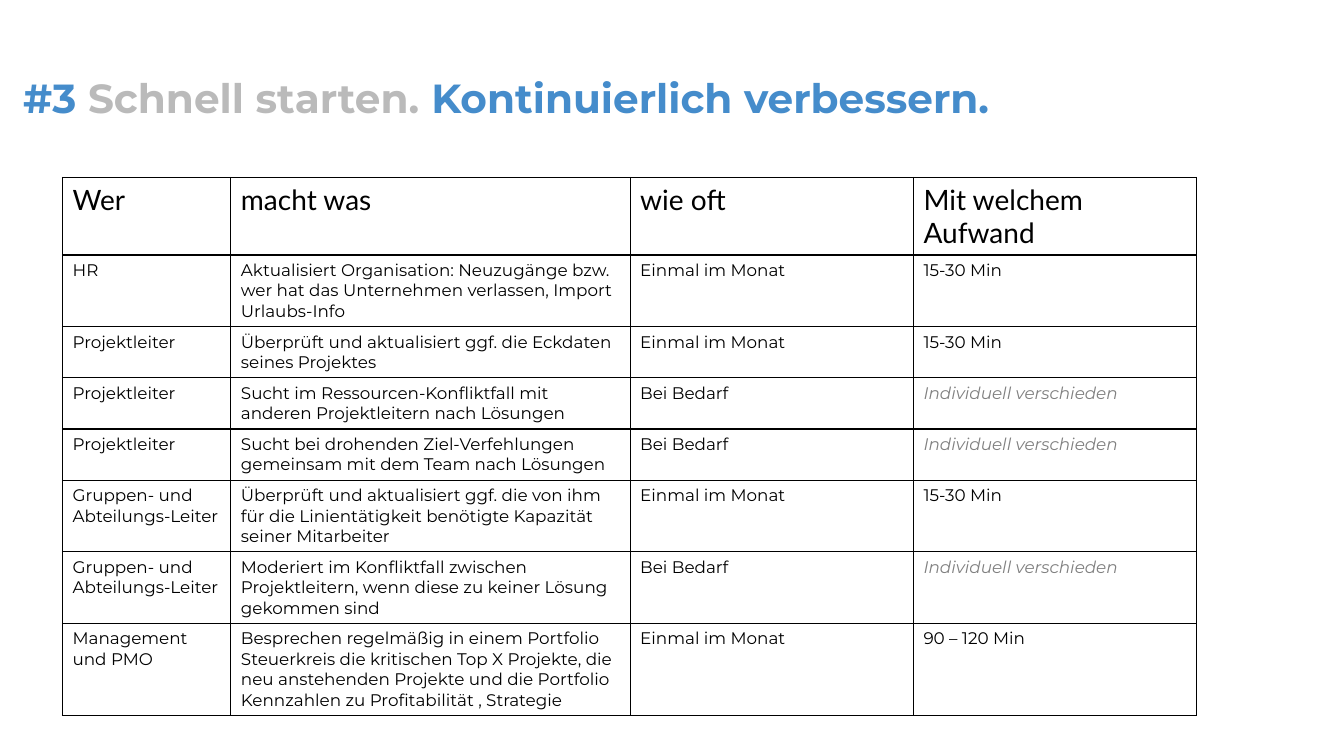
from lxml import etree
from pptx import Presentation
from pptx.dml.color import RGBColor
from pptx.enum import text
from pptx.oxml import ns
from pptx.util import Inches, Pt

COLORS = {"blue": "458CCB", "silver": "BABABA", "black": "000000", "gray": "808080", "white": "FFFFFF"}


def format_font(font, color, **values):
    for name, value in values.items():
        setattr(font, name, value)
    font.color.rgb = RGBColor.from_string(COLORS[color])


def add_borders(cell):
    properties = cell._tc.get_or_add_tcPr()
    for index, side in enumerate(("lnL", "lnR", "lnT", "lnB")):
        border = etree.Element(ns.qn(f"a:{side}"), w=str(Pt(1)))
        fill = etree.SubElement(border, ns.qn("a:solidFill"))
        etree.SubElement(fill, ns.qn("a:srgbClr"), val=COLORS["black"])
        properties.insert(index, border)


prs = Presentation()
prs.slide_width = Inches(13.33)
prs.slide_height = Inches(7.5)
slide = prs.slides.add_slide(prs.slide_layouts[5])

headline = slide.shapes.title
headline.left, headline.top = Inches(0.23), Inches(0.15)
headline.width, headline.height = Inches(10.83), Inches(1.06)
frame = headline.text_frame
frame_format = {
    "margin_left": 0, "margin_top": 0, "margin_right": 0, "margin_bottom": 0,
    "vertical_anchor": text.MSO_ANCHOR.BOTTOM,
    "auto_size": text.MSO_AUTO_SIZE.NONE,
    "word_wrap": True,
}
for name, value in frame_format.items():
    setattr(frame, name, value)
paragraph = frame.paragraphs[0]
paragraph.alignment = text.PP_ALIGN.LEFT
for words, color in (
    ("#3 ", "blue"),
    ("Schnell starten. ", "silver"),
    ("Kontinuierlich verbessern.", "blue"),
):
    run = paragraph.add_run()
    run.text = words
    format_font(run.font, color, name="Montserrat", size=Pt(29), bold=True)

MONTHLY, ON_DEMAND = "Einmal im Monat", "Bei Bedarf"
SHORT, VARIES = "15-30 Min", "Individuell verschieden"
LEAD, GROUP_LEAD = "Projektleiter", "Gruppen- und Abteilungs-Leiter"
tasks = [
    ("Wer", "macht was", "wie oft", "Mit welchem Aufwand"),
    ("HR", "Aktualisiert Organisation: Neuzugänge bzw. wer hat das Unternehmen verlassen, "
     "Import Urlaubs-Info", MONTHLY, SHORT),
    (LEAD, "Überprüft und aktualisiert ggf. die Eckdaten seines Projektes", MONTHLY, SHORT),
    (LEAD, "Sucht im Ressourcen-Konfliktfall mit anderen Projektleitern nach Lösungen",
     ON_DEMAND, VARIES),
    (LEAD, "Sucht bei drohenden Ziel-Verfehlungen gemeinsam mit dem Team nach Lösungen",
     ON_DEMAND, VARIES),
    (GROUP_LEAD, "Überprüft und aktualisiert ggf. die von ihm für die Linientätigkeit "
     "benötigte Kapazität seiner Mitarbeiter", MONTHLY, SHORT),
    (GROUP_LEAD, "Moderiert im Konfliktfall zwischen Projektleitern, wenn diese zu keiner "
     "Lösung gekommen sind", ON_DEMAND, VARIES),
    ("Management und PMO", "Besprechen regelmäßig in einem Portfolio Steuerkreis die kritischen "
     "Top X Projekte, die neu anstehenden Projekte und die Portfolio Kennzahlen zu "
     "Profitabilität , Strategie", MONTHLY, "90 – 120 Min"),
]
column_widths = (1.67, 3.96, 2.81, 2.81)
row_height = 0.41

schedule = slide.shapes.add_table(
    len(tasks), len(column_widths), Inches(0.62), Inches(1.76),
    Inches(sum(column_widths)), Inches(row_height * len(tasks)),
).table
schedule.first_row = False
schedule.horz_banding = False
for column, width in zip(schedule.columns, column_widths):
    column.width = Inches(width)

for row_index, task in enumerate(tasks):
    schedule.rows[row_index].height = Inches(row_height)
    for column_index, entry in enumerate(task):
        cell = schedule.cell(row_index, column_index)
        cell.text = entry
        cell.fill.solid()
        cell.fill.fore_color.rgb = RGBColor.from_string(COLORS["white"])
        add_borders(cell)
        font = cell.text_frame.paragraphs[0].runs[0].font
        if row_index == 0:
            format_font(font, "black", name="Lato", size=Pt(20))
        else:
            color = "gray" if entry == VARIES else "black"
            format_font(font, color, name="Montserrat", size=Pt(12), italic=entry == VARIES)

prs.save("out.pptx")
